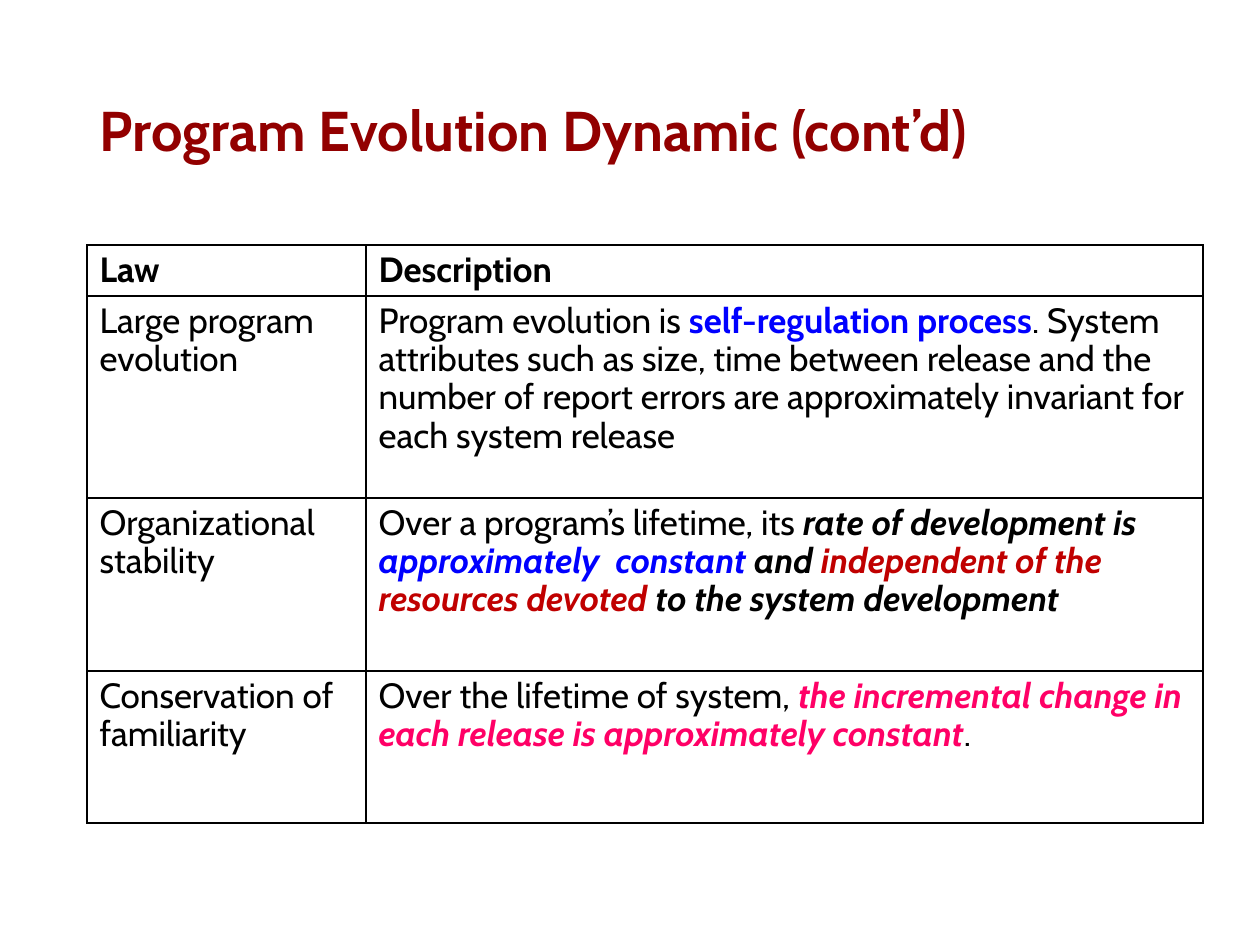
from lxml import etree
from pptx import Presentation
from pptx.dml.color import RGBColor
from pptx.enum import text
from pptx.oxml import ns
from pptx.util import Pt

PX = 914400 / 126
FONT = "Cabin"
COLORS = {"title": "920000", "black": "000000", "blue": "0000FF",
          "red": "C00000", "pink": "FF0066"}

# Each span is (wording, style); a style is (colour, bold, italic)
PLAIN = ("black", False, False)
BOLD = ("black", True, False)
STRONG = ("black", True, True)
LAWS = [
    ([("Law", BOLD)], [("Description", BOLD)]),
    ([("Large program evolution", PLAIN)],
     [("Program evolution is ", PLAIN),
      ("self-regulation process", ("blue", True, False)),
      (". System attributes such as size, time between release and the number "
       "of report errors are approximately invariant for each system release", PLAIN)]),
    ([("Organizational stability", PLAIN)],
     [("Over a program’s lifetime, its ", PLAIN),
      ("rate of development is ", STRONG),
      ("approximately  constant ", ("blue", True, True)),
      ("and ", STRONG),
      ("independent of the resources devoted", ("red", True, True)),
      (" to the system development", STRONG)]),
    ([("Conservation of familiarity", PLAIN)],
     [("Over the lifetime of system, ", PLAIN),
      ("the incremental change in each release is approximately constant",
       ("pink", True, True)),
      (".", PLAIN)]),
]


def px(length):
    return round(length * PX)


def write_spans(para, spans, size):
    para.line_spacing = 0.9
    para.alignment = text.PP_ALIGN.LEFT
    for wording, (color, bold, italic) in spans:
        span = para.add_run()
        span.text = wording
        font = span.font
        font.name, font.size = FONT, Pt(size)
        font.bold, font.italic = bold, italic
        font.color.rgb = RGBColor.from_string(COLORS[color])


def add_title(page, left, top, width, height):
    title = page.shapes.title
    title.left, title.top = px(left), px(top)
    title.width, title.height = px(width), px(height)
    title.text_frame.vertical_anchor = text.MSO_ANCHOR.MIDDLE
    write_spans(title.text_frame.paragraphs[0],
                [("Program Evolution Dynamic (cont’d)", ("title", True, False))], 32)


def set_borders(cell):
    properties = cell._tc.get_or_add_tcPr()
    for index, side in enumerate(("lnL", "lnR", "lnT", "lnB")):
        line = etree.Element(ns.qn(f"a:{side}"), w=str(Pt(1)))
        fill = etree.SubElement(line, ns.qn("a:solidFill"))
        etree.SubElement(fill, ns.qn("a:srgbClr"), val=COLORS["black"])
        properties.insert(index, line)


def add_law_table(page, left, top, columns, rows):
    frame = page.shapes.add_table(len(rows), len(columns), px(left), px(top),
                                  px(sum(columns)), px(sum(rows)))
    table = frame.table
    table.first_row = table.horz_banding = False
    for column, width in zip(table.columns, columns):
        column.width = px(width)
    for row, height, law in zip(table.rows, rows, LAWS):
        row.height = px(height)
        for cell, spans in zip(row.cells, law):
            cell.fill.background()
            set_borders(cell)
            write_spans(cell.text_frame.paragraphs[0], spans, 20)


def main():
    deck = Presentation()
    deck.slide_width, deck.slide_height = px(1260), px(945)
    page = deck.slides.add_slide(deck.slide_layouts[5])
    add_title(page, 87, 83, 1111, 100)
    add_law_table(page, 87, 245, columns=(279, 837), rows=(51, 202, 173, 152))
    deck.save("out.pptx")


if __name__ == "__main__":
    main()
